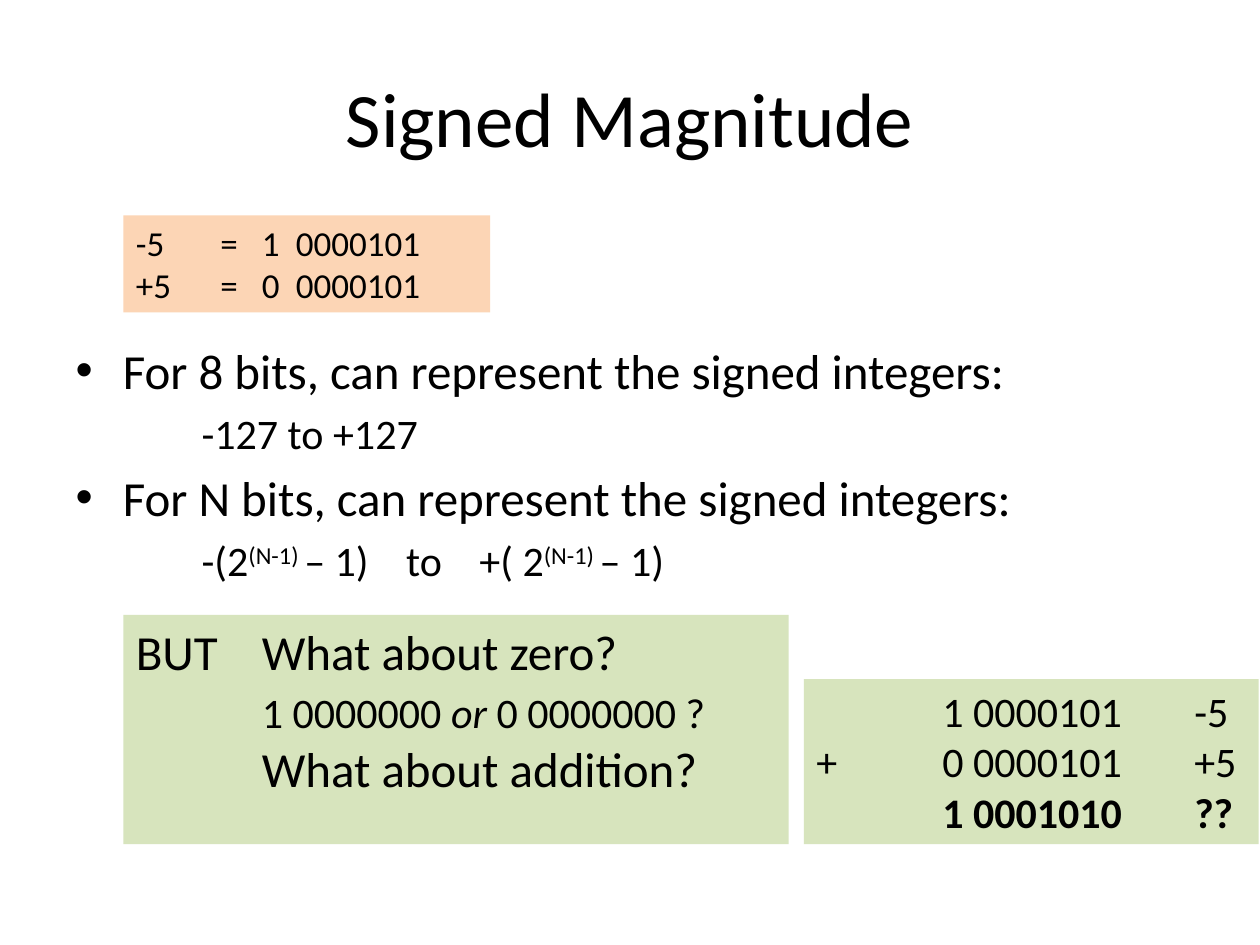
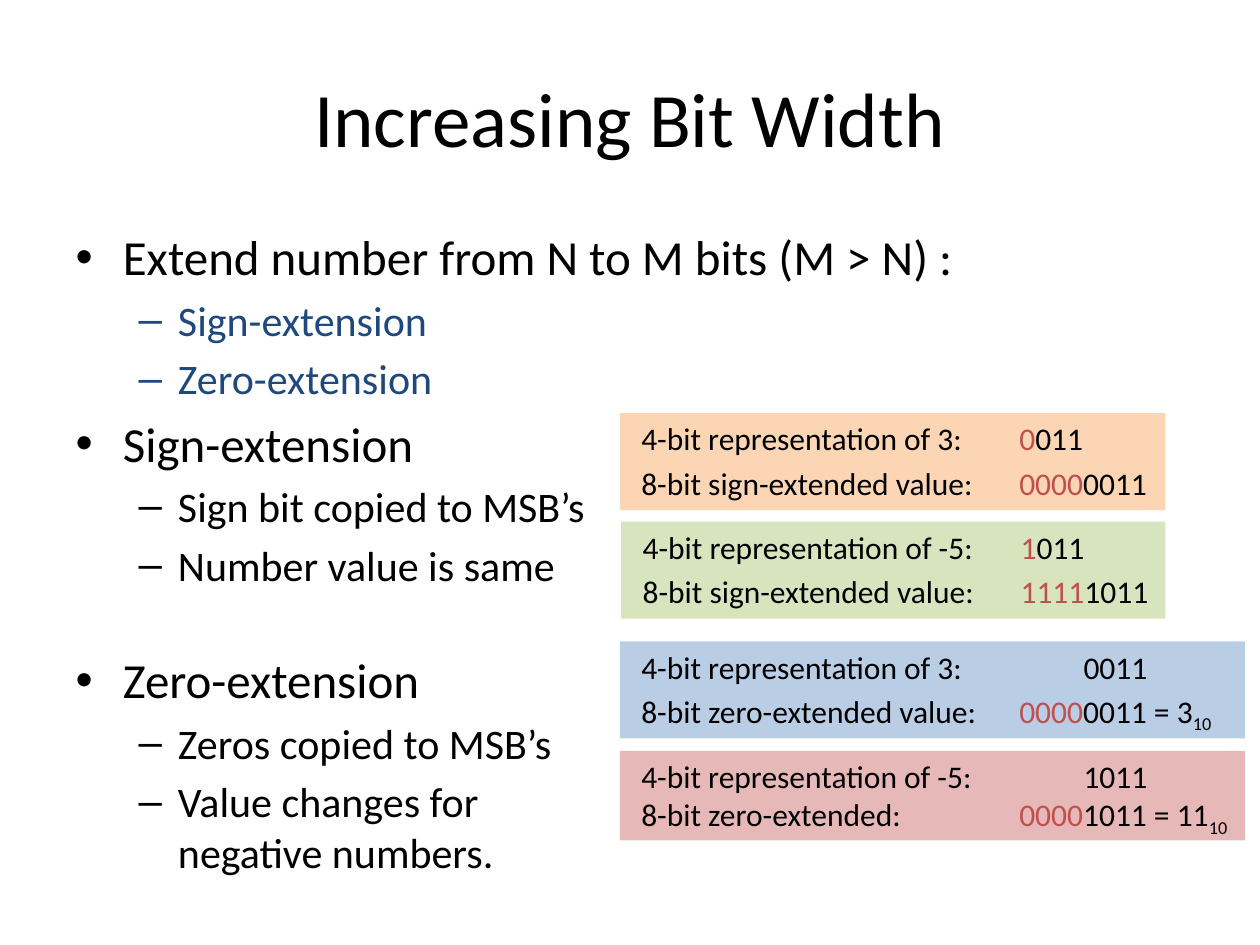
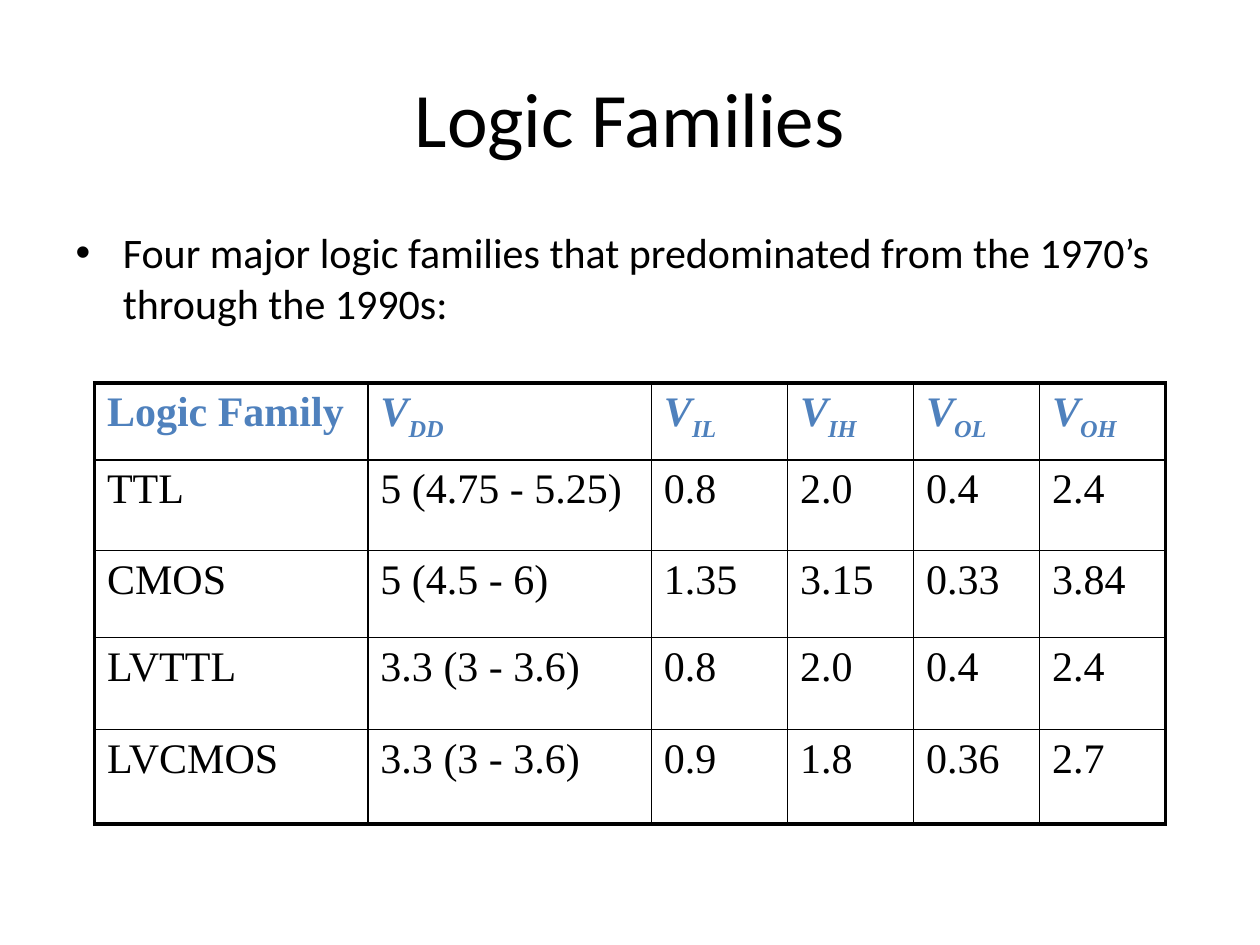
from copy import deepcopy
from dataclasses import dataclass

from lxml import etree
from pptx import Presentation
from pptx import util as u
from pptx.dml.color import RGBColor
from pptx.enum import shapes, text
from pptx.oxml import ns

PX = 9144
BLACK, RED, NAVY, BLUE = "000000", "C0504D", "1F497D", "4F81BD"
PEACH, GREEN, SKY, ROSE = "FCD5B5", "D7E4BD", "B9CDE5", "E6B9B8"
SUPERSCRIPT, SUBSCRIPT = 30, -25


def px(length):
    return u.Emu(length * PX)


def rgb(value):
    return RGBColor.from_string(value)


def write(paragraph, content, size=24, color=BLACK, font="Calibri",
          bold=False, italic=False, baseline=0, spacing=0):
    for index, piece in enumerate(content.split("\n")):
        if index:
            paragraph.add_line_break()
            paragraph._p[-1].append(deepcopy(run.font._element))
        run = paragraph.add_run()
        run.text = piece
        run.font.size = u.Pt(size)
        run.font.name = font
        run.font.bold = bold
        run.font.italic = italic
        run.font.color.rgb = rgb(color)
        if baseline:
            run.font._element.set("baseline", str(baseline * 1000))
        if spacing:
            run.font._element.set("spc", str(spacing * 100))


@dataclass
class Line:
    runs: list
    level: int = 0
    margin: int = None
    tabs: tuple = ()
    before: float = None


def bullet(content, level=0, before=None, **style):
    style = {"size": 24 if level else 28, **style}
    return Line([(content, style)], level, before=before)


class Deck:
    def __init__(self):
        self.presentation = Presentation()
        self.presentation.slide_width = px(1000)
        self.presentation.slide_height = px(750)
        self.slide = None

    def add_slide(self, title):
        layout = self.presentation.slide_layouts[1]
        self.slide = self.presentation.slides.add_slide(layout)
        shape = self.slide.shapes.title
        self.place(shape, 50, 30, 900, 125)
        frame = shape.text_frame
        frame.auto_size = text.MSO_AUTO_SIZE.NONE
        frame.vertical_anchor = text.MSO_ANCHOR.MIDDLE
        frame.paragraphs[0].alignment = text.PP_ALIGN.CENTER
        write(frame.paragraphs[0], title, size=44)

    def place(self, shape, left, top, width, height):
        shape.left, shape.top = px(left), px(top)
        shape.width, shape.height = px(width), px(height)

    def fill_text(self, frame, lines):
        frame.word_wrap = True
        frame.auto_size = text.MSO_AUTO_SIZE.NONE
        frame.vertical_anchor = text.MSO_ANCHOR.TOP
        for index, line in enumerate(lines):
            paragraph = frame.add_paragraph() if index else frame.paragraphs[0]
            paragraph.alignment = text.PP_ALIGN.LEFT
            paragraph.level = line.level
            if line.before is not None:
                paragraph.space_before = u.Pt(line.before)
            properties = paragraph._p.get_or_add_pPr()
            if line.margin is not None:
                properties.set("marL", str(px(line.margin)))
                properties.set("indent", "0")
                etree.SubElement(properties, ns.qn("a:buNone"))
            if line.tabs:
                stops = etree.SubElement(properties, ns.qn("a:tabLst"))
                for stop in line.tabs:
                    etree.SubElement(stops, ns.qn("a:tab"), pos=str(px(stop)), algn="l")
            for content, style in line.runs:
                write(paragraph, content, **style)

    def body(self, lines, top=175):
        shape = self.slide.placeholders[1]
        self.place(shape, 50, top, 900, 670 - top)
        self.fill_text(shape.text_frame, lines)

    def box(self, left, top, width, height, color, lines, inset=10):
        shape = self.slide.shapes.add_shape(
            shapes.MSO_SHAPE.RECTANGLE, px(left), px(top), px(width), px(height))
        shape.shadow.inherit = False
        shape.fill.solid()
        shape.fill.fore_color.rgb = rgb(color)
        shape.line.fill.background()
        shape.text_frame.margin_left = px(inset)
        self.fill_text(shape.text_frame, lines)

    def border(self, cell, side, width):
        line = etree.SubElement(cell._tc.get_or_add_tcPr(), ns.qn("a:ln" + side),
                                w=str(u.Pt(width)))
        fill = etree.SubElement(line, ns.qn("a:solidFill"))
        etree.SubElement(fill, ns.qn("a:srgbClr"), val=BLACK)

    def table(self, left, top, widths, heights, rows):
        table = self.slide.shapes.add_table(
            len(heights), len(widths), px(left), px(top),
            px(sum(widths)), px(sum(heights))).table
        table.first_row = table.horz_banding = False
        for column, width in zip(table.columns, widths):
            column.width = px(width)
        for row, height in zip(table.rows, heights):
            row.height = px(height)
        last_row, last_column = len(heights) - 1, len(widths) - 1
        for r, row in enumerate(rows):
            for c, runs in enumerate(row):
                cell = table.cell(r, c)
                outer = {"L": c == 0, "R": c == last_column,
                         "T": r == 0, "B": r == last_row}
                for side, is_outer in outer.items():
                    self.border(cell, side, 2.25 if is_outer else 1)
                cell.fill.background()
                for content, style in runs:
                    write(cell.text_frame.paragraphs[0], content,
                          font="Times New Roman", **style)


def signed_magnitude(deck):
    deck.add_slide("Signed Magnitude")
    raised, wide = {"baseline": SUPERSCRIPT}, {"spacing": 16}
    deck.body([
        bullet("For 8 bits, can represent the signed integers:"),
        Line([("-127 to +127", {})], margin=100),
        bullet("For N bits, can represent the signed integers:"),
        Line([("-(2", {}), ("(N-1) ", raised), ("– 1)", {}), (" ", wide),
              ("to", {}), (" ", wide), ("+( 2", {}), ("(N-1) ", raised),
              ("– 1)", {})], margin=100),
    ], top=265)
    deck.box(98, 171, 291, 77, PEACH, [
        Line([(f"{number}\t=\t{sign}\t0000101", {"size": 20})], tabs=(67, 100, 127))
        for number, sign in (("-5", 1), ("+5", 0))])
    large = {"size": 28}
    deck.box(98, 488, 528, 182, GREEN, [
        Line(runs, tabs=(100,)) for runs in (
            [("BUT\tWhat about zero?", large)],
            [("\t", large), ("1 0000000 ", {}), ("or", {"italic": True}),
             (" 0 0000000 ?", {})],
            [("\t", {}), ("What about addition?", large)])])
    deck.box(638, 539, 361, 131, GREEN, [
        Line([(content, {"bold": bold})], tabs=(100, 300)) for content, bold in (
            ("\t1 0000101\t-5", False),
            ("+\t0 0000101\t+5", False),
            ("\t1 0001010\t??", True))])


def extension_box(deck, top, width, height, color, number, bits, label, added,
                  result="", sign="", bits_tab=300, gap=3.6, left=492):
    small, red = {"size": 18}, {"size": 18, "color": RED}
    runs = [(f"{label}:\t", small), (added, red), (bits + result, small)]
    if result:
        runs.append(("10", {"size": 18, "baseline": SUBSCRIPT}))
    first = [(f"4-bit representation of {number}:\t", small)]
    if sign:
        first.append((sign, red))
    first.append((bits[len(sign):], small))
    deck.box(left, top, width, height, color, [
        Line(first, tabs=(bits_tab,)),
        Line(runs, tabs=(300,), before=gap)], inset=17)


def increasing_bit_width(deck):
    deck.add_slide("Increasing Bit Width")
    deck.body([
        bullet("Extend number from N to M bits (M > N) :"),
        bullet("Sign-extension", 1, color=NAVY),
        bullet("Zero-extension", 1, color=NAVY),
        bullet("Sign-extension"),
        bullet("Sign bit copied to MSB’s", 1),
        bullet("Number value is same", 1),
        bullet("Zero-extension", before=34.5),
        bullet("Zeros copied to MSB’s", 1),
        bullet("Value changes for\nnegative numbers.", 1),
    ])
    extension_box(deck, 328, 433, 77, PEACH, "3", "0011",
                  "8-bit sign-extended value", "0000", sign="0")
    extension_box(deck, 414, 432, 77, GREEN, "-5", "1011",
                  "8-bit sign-extended value", "1111", sign="1", left=493)
    extension_box(deck, 509, 496, 77, SKY, "3", "0011",
                  "8-bit zero-extended value", "0000", " = 3", bits_tab=351)
    extension_box(deck, 596, 496, 71, ROSE, "-5", "1011",
                  "8-bit zero-extended", "0000", " = 11", bits_tab=351, gap=0)


def logic_families(deck):
    deck.add_slide("Logic Families")
    deck.body([bullet("Four major logic families that predominated from the 1970’s "
                      "through the 1990s:", size=24)])
    heading = {"color": BLUE, "bold": True}
    symbol = {**heading, "italic": True}
    header = [[("Logic Family", heading)]] + [
        [("V", symbol), (name, {**symbol, "baseline": SUBSCRIPT})]
        for name in ("DD", "IL", "IH", "OL", "OH")]
    families = [
        ("TTL", "5 (4.75 - 5.25)", "0.8", "2.0", "0.4", "2.4"),
        ("CMOS", "5 (4.5 - 6)", "1.35", "3.15", "0.33", "3.84"),
        ("LVTTL", "3.3 (3 - 3.6)", "0.8", "2.0", "0.4", "2.4"),
        ("LVCMOS", "3.3 (3 - 3.6)", "0.9", "1.8", "0.36", "2.7"),
    ]
    rows = [[[(value, {})] for value in family] for family in families]
    deck.table(75, 304, [217, 225, 108, 100, 100, 100], [61, 72, 69, 73, 75],
               [header] + rows)


def main():
    deck = Deck()
    signed_magnitude(deck)
    increasing_bit_width(deck)
    logic_families(deck)
    deck.presentation.save("out.pptx")


if __name__ == "__main__":
    main()
